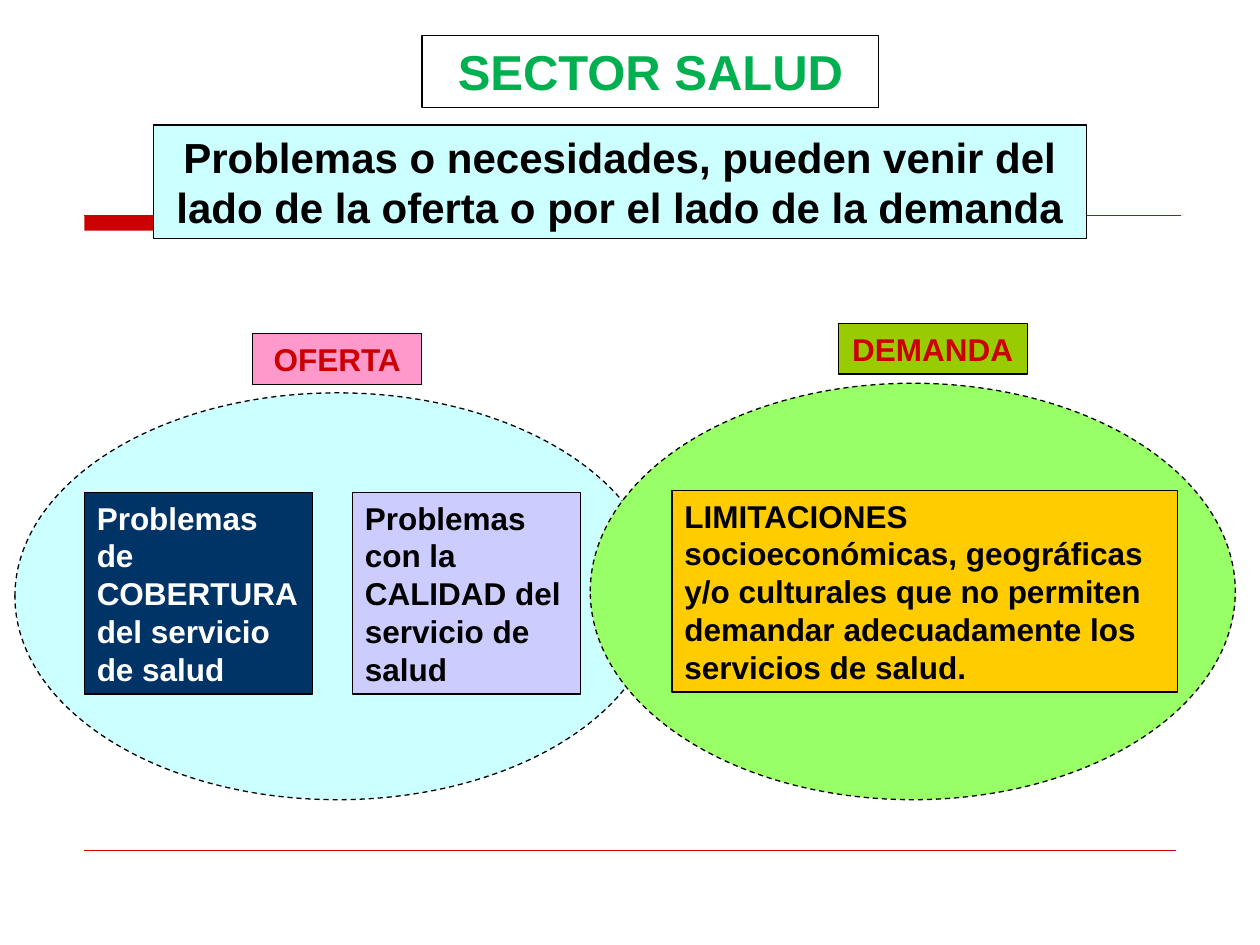
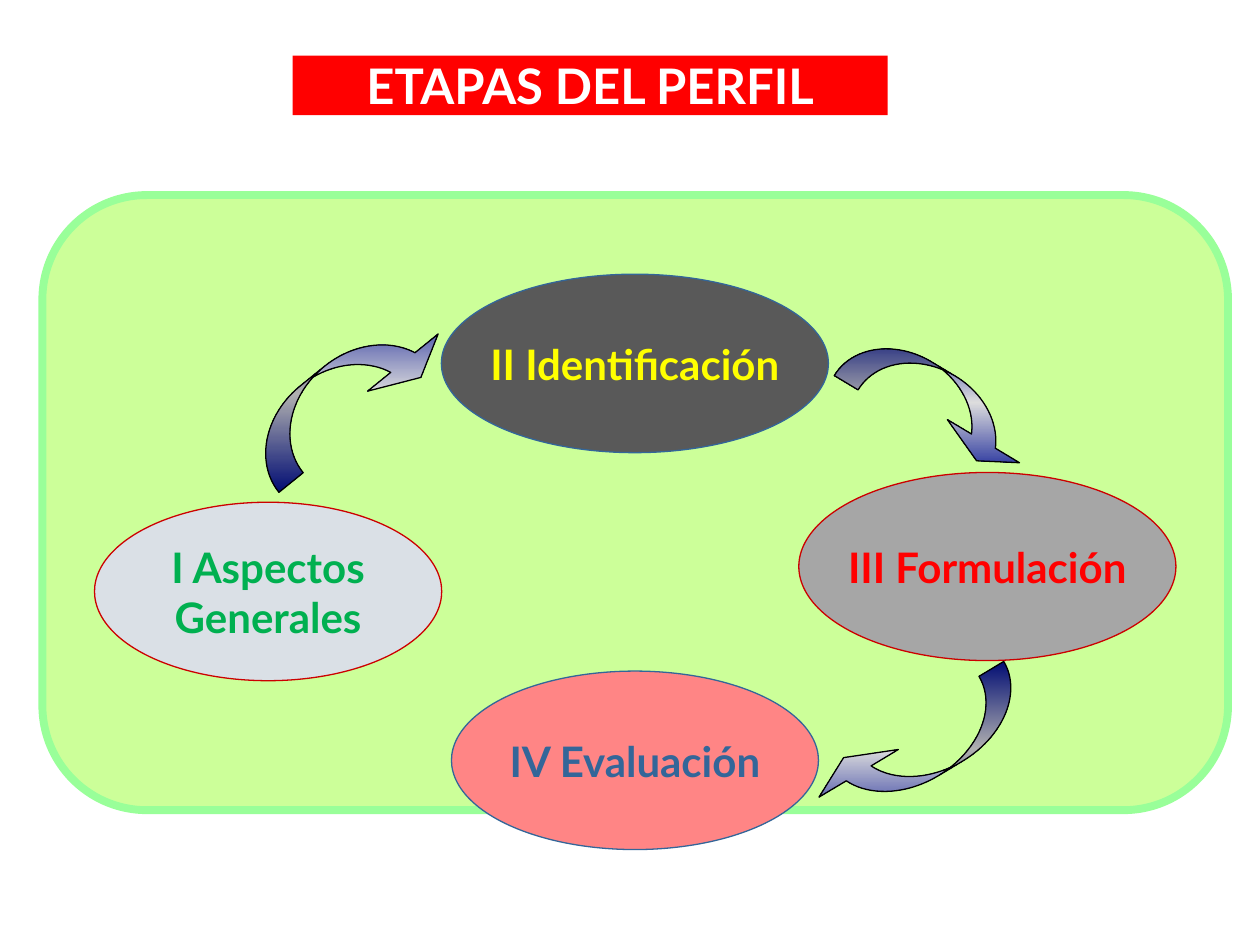
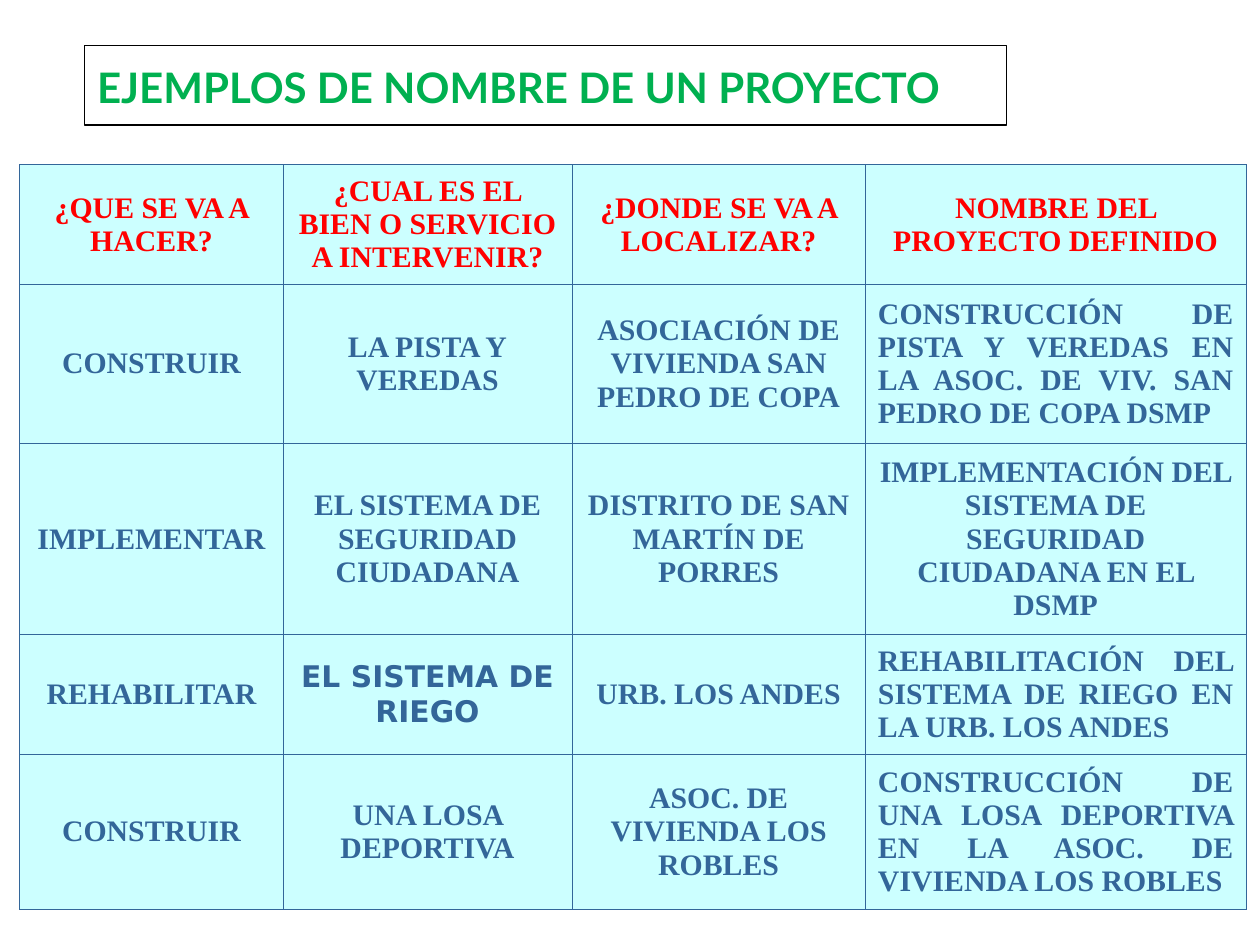
from lxml import etree
from pptx import Presentation
from pptx.dml.color import RGBColor
from pptx.enum.dml import MSO_LINE
from pptx.enum.shapes import MSO_CONNECTOR, MSO_SHAPE
from pptx.enum.text import MSO_ANCHOR, MSO_AUTO_SIZE, PP_ALIGN
from pptx.oxml.ns import qn
from pptx.util import Pt

RECTANGLE = MSO_SHAPE.RECTANGLE
ELLIPSE = MSO_SHAPE.OVAL
ROUNDED = MSO_SHAPE.ROUNDED_RECTANGLE
CURVED_ARROW = MSO_SHAPE.CURVED_LEFT_ARROW
STRAIGHT = MSO_CONNECTOR.STRAIGHT
DASH = MSO_LINE.DASH
TOP, MIDDLE = MSO_ANCHOR.TOP, MSO_ANCHOR.MIDDLE
LEFT, CENTER, JUSTIFY = PP_ALIGN.LEFT, PP_ALIGN.CENTER, PP_ALIGN.JUSTIFY
NO_AUTOFIT = MSO_AUTO_SIZE.NONE

BLACK = RGBColor(0x00, 0x00, 0x00)
WHITE = RGBColor(0xFF, 0xFF, 0xFF)
RED = RGBColor(0xFF, 0x00, 0x00)
DARK_RED = RGBColor(0xCC, 0x00, 0x00)
GREEN = RGBColor(0x00, 0xB0, 0x50)
STEEL = RGBColor(0x33, 0x66, 0x99)
NAVY = RGBColor(0x00, 0x33, 0x66)
AQUA = RGBColor(0xCC, 0xFF, 0xFF)
PINK = RGBColor(0xFF, 0x99, 0xCC)
OLIVE = RGBColor(0x99, 0xCC, 0x00)
LAVENDER = RGBColor(0xCC, 0xCC, 0xFF)
LIME = RGBColor(0x99, 0xFF, 0x66)
AMBER = RGBColor(0xFF, 0xCC, 0x00)
PALE_GREEN = RGBColor(0xCC, 0xFF, 0x99)
MINT = RGBColor(0x99, 0xFF, 0x99)
SALMON = RGBColor(0xFF, 0x85, 0x85)
CHARCOAL = RGBColor(0x59, 0x59, 0x59)
GRAY = RGBColor(0xA6, 0xA6, 0xA6)
MIST = RGBColor(0xDA, 0xE0, 0xE6)
YELLOW = RGBColor(0xFF, 0xFF, 0x00)
INDIGO = RGBColor(0x02, 0x10, 0x90)
SILVER = RGBColor(0xDD, 0xDD, 0xDD)

ARIAL, LATO, TIMES, DEJAVU = "Arial", "Lato", "Times New Roman", "DejaVu Sans"
THIN = 0.75

HEADINGS = ["¿QUE SE VA A HACER?", "¿CUAL ES EL BIEN O SERVICIO A INTERVENIR?",
            "¿DONDE SE VA A LOCALIZAR?", "NOMBRE DEL PROYECTO DEFINIDO"]
PROJECTS = [
    ["CONSTRUIR", "LA PISTA Y\nVEREDAS", "ASOCIACIÓN DE VIVIENDA SAN PEDRO DE COPA",
     "CONSTRUCCIÓN DE PISTA Y VEREDAS EN LA ASOC. DE VIV. SAN PEDRO DE COPA DSMP"],
    ["IMPLEMENTAR", "EL SISTEMA DE SEGURIDAD CIUDADANA", "DISTRITO DE SAN MARTÍN DE PORRES",
     "IMPLEMENTACIÓN DEL SISTEMA DE SEGURIDAD CIUDADANA EN EL DSMP"],
    ["REHABILITAR", "EL SISTEMA DE RIEGO", "URB. LOS ANDES",
     "REHABILITACIÓN DEL SISTEMA DE RIEGO EN LA URB. LOS ANDES"],
    ["CONSTRUIR", "UNA LOSA DEPORTIVA", "ASOC. DE VIVIENDA LOS ROBLES",
     "CONSTRUCCIÓN DE UNA LOSA DEPORTIVA EN LA ASOC. DE VIVIENDA LOS ROBLES"],
]
COLUMN_WIDTHS = [150.5, 165, 167.75, 217.5]
ROW_HEIGHTS = [68.4, 90.7, 109.4, 68.4, 88.6]


def write(frame, text, font, size, color, align=CENTER):
    """Fill a text frame with bold text, one paragraph a line."""
    frame.text = text
    for para in frame.paragraphs:
        para.alignment = align
        for span in para.runs:
            span.font.name = font
            span.font.size = Pt(size)
            span.font.bold = True
            span.font.color.rgb = color


def paint(shape, fill, line=None, width=THIN):
    if fill is None:
        shape.fill.background()
    else:
        shape.fill.solid()
        shape.fill.fore_color.rgb = fill
    if line is None:
        shape.line.fill.background()
    else:
        shape.line.color.rgb = line
        shape.line.width = Pt(width)


def add_page(deck, title, place, font, size, color, align=CENTER, fill=None, line=None):
    """Add a title-only page whose title is a painted box."""
    page = deck.slides.add_slide(deck.slide_layouts[5])
    box = page.shapes.title
    box.left, box.top, box.width, box.height = map(Pt, place)
    paint(box, fill, line)
    frame = box.text_frame
    frame.word_wrap = True
    frame.auto_size = NO_AUTOFIT
    frame.vertical_anchor = TOP
    write(frame, title, font, size, color, align)
    return page


def add_figure(page, kind, place, fill, line=None, width=THIN):
    figure = page.shapes.add_shape(kind, *map(Pt, place))
    figure.shadow.inherit = False
    paint(figure, fill, line, width)
    return figure


def add_label(page, text, place, fill, size=18, color=BLACK, align=LEFT):
    frame = add_figure(page, RECTANGLE, place, fill, BLACK).text_frame
    frame.word_wrap = True
    frame.vertical_anchor = TOP
    write(frame, text, ARIAL, size, color, align)


def add_dashed_ellipse(page, place, fill):
    add_figure(page, ELLIPSE, place, fill, BLACK).line.dash_style = DASH


def add_stage(page, text, place, fill, line, color):
    frame = add_figure(page, ELLIPSE, place, fill, line).text_frame
    frame.word_wrap = False
    frame.vertical_anchor = MIDDLE
    write(frame, text, LATO, 24, color)


def add_rule(page, y, right, width):
    rule = page.shapes.add_connector(STRAIGHT, Pt(48.25), Pt(y), Pt(right), Pt(y))
    rule.line.color.rgb = DARK_RED
    rule.line.width = Pt(width)
    etree.SubElement(rule.element.spPr, qn("a:effectLst"))


def add_stage_arrow(page, place, rotation, head_width):
    arrow = add_figure(page, CURVED_ARROW, place, INDIGO, BLACK)
    arrow.rotation = rotation
    for index, share in enumerate((0.45, head_width, 0.33)):
        arrow.adjustments[index] = share
    properties = arrow.element.spPr
    gradient = etree.Element(qn("a:gradFill"), rotWithShape="1")
    stops = etree.SubElement(gradient, qn("a:gsLst"))
    for percent, color in ((0, INDIGO), (50, SILVER), (100, INDIGO)):
        stop = etree.SubElement(stops, qn("a:gs"), pos=str(percent * 1000))
        etree.SubElement(stop, qn("a:srgbClr"), val=str(color))
    angle = (90 - rotation) % 360
    etree.SubElement(gradient, qn("a:lin"), ang=str(round(angle * 60000)), scaled="0")
    properties.replace(properties.find(qn("a:solidFill")), gradient)


def style_cell(cell):
    cell.vertical_anchor = MIDDLE
    cell.margin_left = cell.margin_right = Pt(7.2)
    cell.margin_top = cell.margin_bottom = Pt(3.6)
    properties = cell._tc.get_or_add_tcPr()
    for side in ("a:lnL", "a:lnR", "a:lnT", "a:lnB"):
        border = etree.SubElement(properties, qn(side), w=str(Pt(0.45)))
        solid = etree.SubElement(border, qn("a:solidFill"))
        etree.SubElement(solid, qn("a:srgbClr"), val=str(STEEL))
    cell.fill.solid()
    cell.fill.fore_color.rgb = AQUA


def add_project_table(page):
    rows = [HEADINGS] + PROJECTS
    frame = page.shapes.add_table(len(rows), len(HEADINGS), Pt(11.3), Pt(94.2),
                                  Pt(sum(COLUMN_WIDTHS)), Pt(sum(ROW_HEIGHTS)))
    table = frame.table
    table.first_row = table.horz_banding = False
    for column, width in zip(table.columns, COLUMN_WIDTHS):
        column.width = Pt(width)
    for row, height in zip(table.rows, ROW_HEIGHTS):
        row.height = Pt(height)
    justified = {(1, 3), (3, 3), (4, 3)}
    for i, texts in enumerate(rows):
        for j, text in enumerate(texts):
            cell = table.cell(i, j)
            style_cell(cell)
            write(cell.text_frame, text, DEJAVU if (i, j) == (3, 1) else TIMES, 17,
                  RED if i == 0 else STEEL, JUSTIFY if (i, j) in justified else CENTER)


def build_supply_and_demand(deck):
    page = add_page(deck, "SECTOR SALUD", (241.2, 20.3, 260.9, 41), ARIAL, 28, GREEN,
                    fill=WHITE, line=BLACK)
    add_figure(page, RECTANGLE, (48.25, 123.1, 366.5, 8.7), DARK_RED)
    add_rule(page, 123.1, 674.7, 0.75)
    add_rule(page, 486, 672, 0.25)
    add_dashed_ellipse(page, (8.5, 224.5, 368.6, 232.5), AQUA)
    add_label(page, "OFERTA", (144.4, 190.6, 96.6, 29), PINK, color=DARK_RED, align=CENTER)
    add_label(page, "DEMANDA", (479, 184.8, 108, 29), OLIVE, color=DARK_RED, align=CENTER)
    add_label(page, "Problemas o necesidades, pueden venir del lado de la oferta "
              "o por el lado de la demanda", (87.7, 71.4, 533, 65), AQUA, 24, align=CENTER)
    add_label(page, "Problemas de COBERTURA del servicio de salud",
              (48.25, 281.4, 130.4, 115.3), NAVY, color=WHITE)
    add_label(page, "Problemas con la CALIDAD del servicio de salud",
              (201.4, 281.4, 130.4, 115.3), LAVENDER)
    add_dashed_ellipse(page, (337.3, 219, 368.6, 238), LIME)
    add_label(page, "LIMITACIONES socioeconómicas, geográficas y/o culturales que no permiten "
              "demandar adecuadamente los servicios de salud.",
              (384, 280.2, 288.8, 115.3), AMBER)


def build_profile_stages(deck):
    page = add_page(deck, "ETAPAS DEL PERFIL", (167.2, 31.8, 340, 34), LATO, 28, WHITE, fill=RED)
    frame = page.shapes.title.text_frame
    frame.margin_left = frame.margin_right = frame.margin_top = frame.margin_bottom = 0
    panel = add_figure(page, ROUNDED, (24.2, 111.5, 677.5, 351.5), PALE_GREEN, MINT, 4.5)
    panel.adjustments[0] = 0.17
    add_stage(page, "IV Evaluación", (258, 383.5, 209.7, 102), SALMON, STEEL, STEEL)
    add_stage(page, "II Identificación", (252.2, 156.7, 221.2, 102), CHARCOAL, STEEL, YELLOW)
    add_stage(page, "III Formulación", (456.5, 270, 215.5, 107.5), GRAY, DARK_RED, RED)
    add_stage(page, "I Aspectos\nGenerales", (54, 287, 198.4, 102), MIST, DARK_RED, GREEN)
    add_stage_arrow(page, (177.8, 159.8, 39.6, 130.3), 231, 1.31)
    add_stage_arrow(page, (519.1, 170.6, 35.3, 118.8), 300.9, 1.36)
    add_stage_arrow(page, (507.6, 361.4, 36.7, 133.2), 59, 1.44)


def build_project_names(deck):
    page = add_page(deck, "EJEMPLOS DE NOMBRE DE UN PROYECTO", (48.25, 26, 527, 45.5),
                    LATO, 24, GREEN, JUSTIFY, line=BLACK)
    page.shapes.title.text_frame.paragraphs[0].line_spacing = 1.2
    add_project_table(page)


def main():
    deck = Presentation()
    deck.slide_width, deck.slide_height = Pt(720), Pt(540)
    build_supply_and_demand(deck)
    build_profile_stages(deck)
    build_project_names(deck)
    deck.save("out.pptx")


if __name__ == "__main__":
    main()
